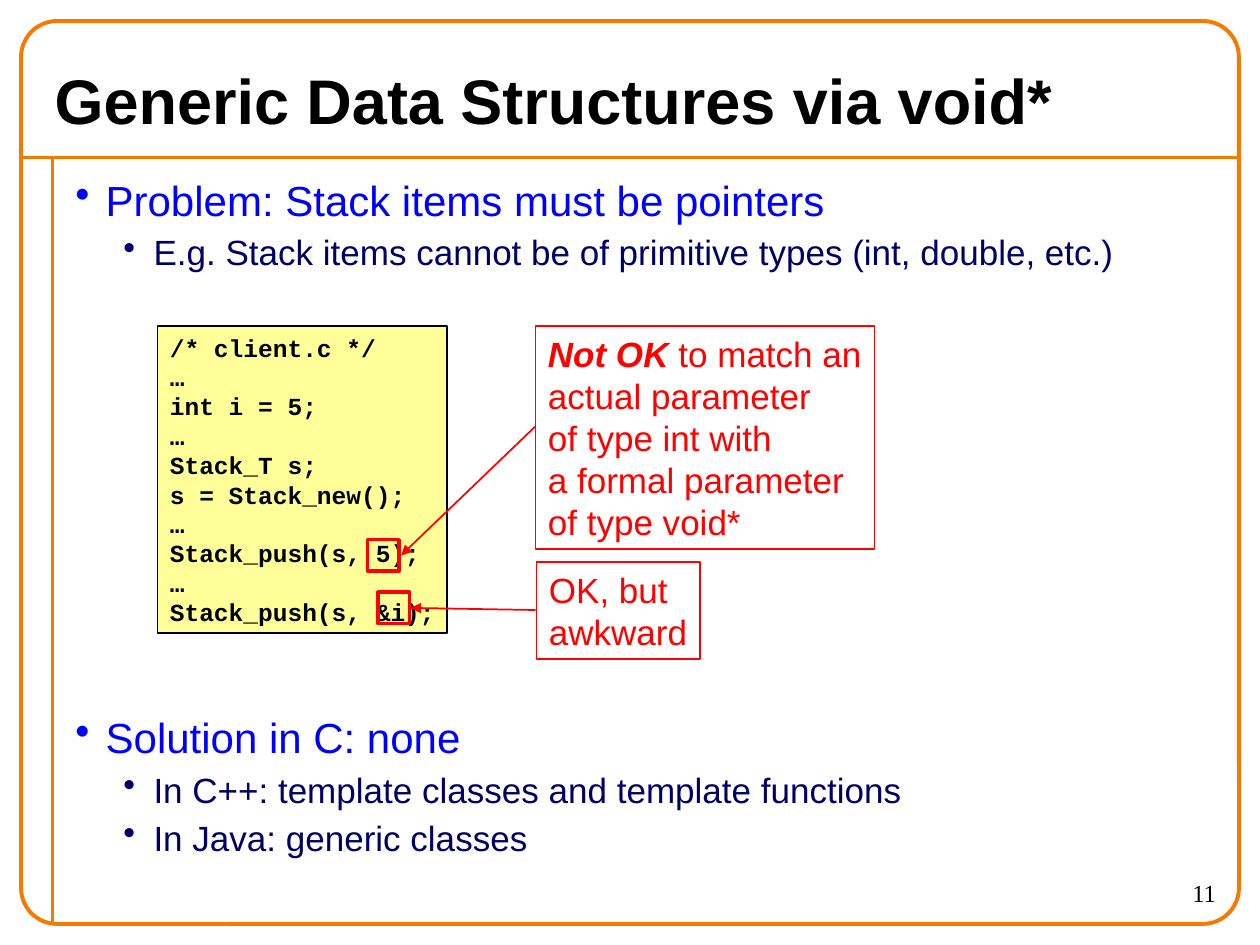
from dataclasses import dataclass

from lxml import etree
from pptx import Presentation, util as u
from pptx.dml.color import RGBColor
from pptx.enum import shapes, text
from pptx.oxml.ns import qn


@dataclass(frozen=True)
class Theme:
    orange: str = "F47A00"
    black: str = "000000"
    white: str = "FFFFFF"
    blue: str = "0000FF"
    navy: str = "000066"
    red: str = "FF0000"
    yellow: str = "FFFF99"
    sans: str = "Arial"
    mono: str = "Courier New"
    serif: str = "Times New Roman"
    title_size: int = 36
    topic_size: int = 24
    detail_size: int = 20
    small_size: int = 14


@dataclass(frozen=True)
class Area:
    """A rectangle in grid cells; the slide is 120 columns by 90 rows."""
    column: float
    row: float
    columns: float
    rows: float


@dataclass(frozen=True)
class Style:
    font: str
    size: int
    color: str
    bold: bool = False
    italic: bool = False


@dataclass(frozen=True)
class Panel:
    area: Area
    lines: tuple[str, ...]
    style: Style
    fill: str
    line: str


@dataclass(frozen=True)
class Level:
    style: Style
    margin: float
    space_before: float


@dataclass(frozen=True)
class Topic:
    area: Area
    heading: str
    details: tuple[str, ...]


THEME = Theme()
WIDTH, HEIGHT = u.Inches(10), u.Inches(7.5)
CELL = WIDTH / 120
HANGING = u.Inches(0.24)

TITLE = Style(THEME.sans, THEME.title_size, THEME.black, bold=True)
CODE = Style(THEME.mono, THEME.small_size, THEME.black, bold=True)
NOTE = Style(THEME.sans, THEME.detail_size, THEME.red)
STRONG = Style(THEME.sans, THEME.detail_size, THEME.red, bold=True, italic=True)
NUMBER = Style(THEME.serif, THEME.small_size, THEME.black)
HEADING = Level(Style(THEME.sans, THEME.topic_size, THEME.blue), 0.24, 0)
DETAIL = Level(Style(THEME.sans, THEME.detail_size, THEME.navy), 0.62, 3.5)

TOPICS = (
    Topic(Area(6, 16, 111, 12), "Problem: Stack items must be pointers",
          ("E.g. Stack items cannot be of primitive types (int, double, etc.)",)),
    Topic(Area(6, 67.2, 111, 16), "Solution in C: none",
          ("In C++: template classes and template functions",
           "In Java: generic classes")),
)
CODE_PANEL = Panel(
    Area(15, 31.05, 27.6, 29.25),
    ("/* client.c */", "…", "int i = 5;", "…", "Stack_T s;", "s = Stack_new();",
     "…", "Stack_push(s, 5);", "…", "Stack_push(s, &i);"),
    CODE, THEME.yellow, THEME.black)
BAD_PANEL = Panel(
    Area(51, 31.05, 32.3, 21.25),
    ("Not OK to match an", "actual parameter", "of type int with",
     "a formal parameter", "of type void*"),
    NOTE, THEME.white, THEME.red)
GOOD_PANEL = Panel(Area(51.1, 53.5, 15.6, 9.25), ("OK, but", "awkward"),
                   NOTE, THEME.white, THEME.red)
MARKERS = (Area(35, 51.4, 3, 3), Area(36, 56.4, 3, 3))
ARROWS = ((51, 40.6, 38.2, 52.9), (51, 58.1, 39.1, 57.9))
RULES = ((2, 15, 118, 15), (5, 15, 5, 88))


def cells(count: float) -> int:
    return round(count * CELL)


def box(area: Area) -> tuple[int, ...]:
    return tuple(map(cells, (area.column, area.row, area.columns, area.rows)))


def format_run(run, style: Style) -> None:
    run.font.name = style.font
    run.font.size = u.Pt(style.size)
    run.font.bold = style.bold
    run.font.italic = style.italic
    run.font.color.rgb = RGBColor.from_string(style.color)


def write(text_frame, lines: tuple[str, ...], style: Style,
          align=text.PP_ALIGN.LEFT) -> None:
    text_frame.text = "\n".join(lines)
    for paragraph in text_frame.paragraphs:
        paragraph.alignment = align
        for run in paragraph.runs:
            format_run(run, style)


def add_outline(slide, kind, area: Area, line: str, weight: float, fill: str = ""):
    shape = slide.shapes.add_shape(kind, *box(area))
    shape.shadow.inherit = False
    if fill:
        shape.fill.solid()
        shape.fill.fore_color.rgb = RGBColor.from_string(fill)
    else:
        shape.fill.background()
    shape.line.color.rgb = RGBColor.from_string(line)
    shape.line.width = u.Pt(weight)
    return shape


def add_panel(slide, panel: Panel):
    shape = add_outline(slide, shapes.MSO_SHAPE.RECTANGLE, panel.area,
                        panel.line, 1, panel.fill)
    shape.text_frame.word_wrap = False
    shape.text_frame.vertical_anchor = text.MSO_ANCHOR.MIDDLE
    write(shape.text_frame, panel.lines, panel.style)
    return shape


def add_line(slide, ends: tuple[float, ...], color: str, weight: float,
             arrow: bool = False) -> None:
    line = slide.shapes.add_connector(shapes.MSO_CONNECTOR.STRAIGHT, *map(cells, ends))
    line.line.color.rgb = RGBColor.from_string(color)
    line.line.width = u.Pt(weight)
    if arrow:
        etree.SubElement(line.line._get_or_add_ln(), qn("a:tailEnd"), type="triangle")
    etree.SubElement(line._element.spPr, qn("a:effectLst"))


def format_bullet(paragraph, level: Level) -> None:
    properties = paragraph._p.get_or_add_pPr()
    properties.set("marL", str(u.Inches(level.margin)))
    properties.set("indent", str(-HANGING))
    paragraph.space_before = u.Pt(level.space_before)
    color = etree.SubElement(properties, qn("a:buClr"))
    etree.SubElement(color, qn("a:srgbClr"), val=level.style.color)
    etree.SubElement(properties, qn("a:buChar"), char="•")
    format_run(paragraph.runs[0], level.style)


def add_topic(slide, topic: Topic) -> None:
    text_frame = slide.shapes.add_textbox(*box(topic.area)).text_frame
    text_frame.word_wrap = True
    text_frame.text = "\n".join((topic.heading, *topic.details))
    for index, paragraph in enumerate(text_frame.paragraphs):
        format_bullet(paragraph, DETAIL if index else HEADING)


def main() -> None:
    presentation = Presentation()
    presentation.slide_width, presentation.slide_height = WIDTH, HEIGHT
    slide = presentation.slides.add_slide(presentation.slide_layouts[5])

    # Frame and rules
    for ends in RULES:
        add_line(slide, ends, THEME.orange, 2.25)
    frame = add_outline(slide, shapes.MSO_SHAPE.ROUNDED_RECTANGLE,
                        Area(2, 2, 116, 86), THEME.orange, 2.25)
    frame.adjustments[0] = 0.04

    # Title and page number
    title = slide.shapes.title
    title.left, title.top, title.width, title.height = box(Area(4, 5, 112, 9))
    title.text_frame.vertical_anchor = text.MSO_ANCHOR.MIDDLE
    write(title.text_frame, ("Generic Data Structures via void*",), TITLE)
    number = slide.shapes.add_textbox(*box(Area(105, 83, 12, 5)))
    write(number.text_frame, ("11",), NUMBER, text.PP_ALIGN.RIGHT)

    # Bulleted topics
    for topic in TOPICS:
        add_topic(slide, topic)

    # Code and its two comments
    add_panel(slide, CODE_PANEL)
    bad = add_panel(slide, BAD_PANEL)
    opening = bad.text_frame.paragraphs[0]
    opening.text = "Not OK"
    opening.add_run().text = " to match an"
    for run, style in zip(opening.runs, (STRONG, NOTE)):
        format_run(run, style)
    add_panel(slide, GOOD_PANEL)

    # Marked arguments and arrows to them
    for area in MARKERS:
        add_outline(slide, shapes.MSO_SHAPE.RECTANGLE, area, THEME.red, 2)
    for ends in ARROWS:
        add_line(slide, ends, THEME.red, 1, arrow=True)

    presentation.save("out.pptx")


if __name__ == "__main__":
    main()
